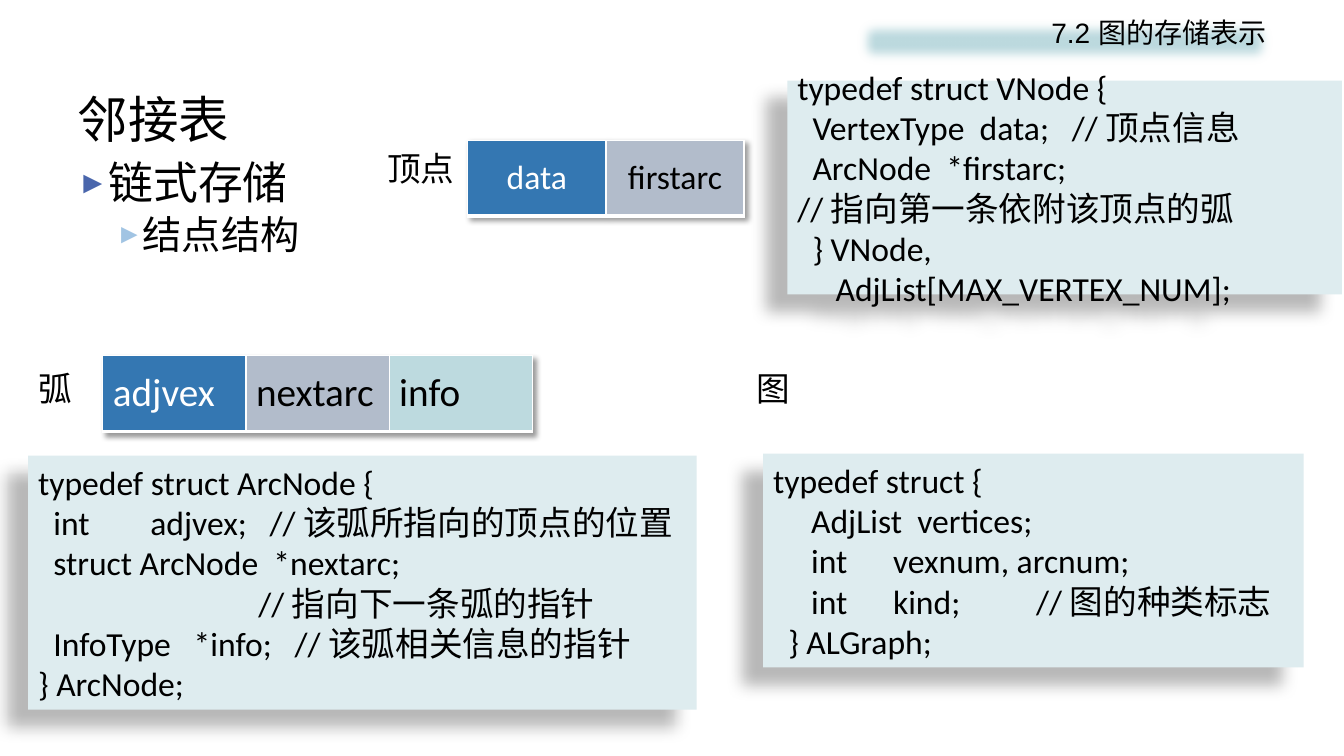
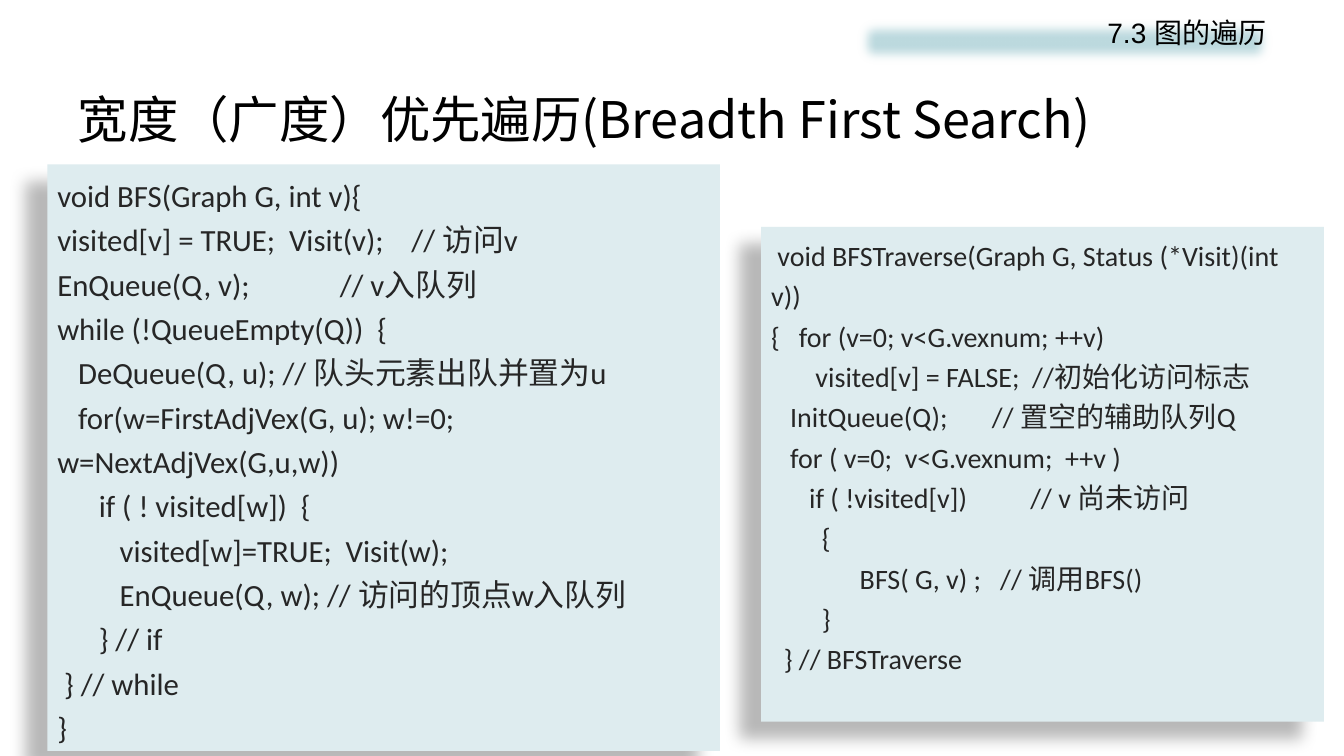
import pptx
import pptx.util
import pptx.dml.color
import pptx.enum.shapes
import pptx.enum.text
import pptx.oxml.ns
from lxml import etree

PX = 9144  # 100 px to the inch
HUE = {"black": "000000", "white": "FFFFFF", "ink": "262626", "band": "BDDADF",
       "code": "DEECEF", "blue": "3477B2", "grey": "B2BCCB",
       "mark": "4A66AC", "sub": "A1C4E3"}
CJK = "Noto Sans CJK SC"
qn = pptx.oxml.ns.qn
Pt = pptx.util.Pt
RGB = pptx.dml.color.RGBColor.from_string
ALIGN = pptx.enum.text.PP_ALIGN
MID = pptx.enum.text.MSO_ANCHOR.MIDDLE
TOP = pptx.enum.text.MSO_ANCHOR.TOP
RECT = pptx.enum.shapes.MSO_SHAPE.RECTANGLE


def write(para, text, size, font, color="black", east=None):
    """Add one styled run; east names the font for Chinese text."""
    run = para.add_run()
    run.text = text
    run.font.size = Pt(size)
    run.font.color.rgb = RGB(HUE[color])
    run.font.name = font
    if east:
        etree.SubElement(run._r.get_or_add_rPr(), qn("a:ea"), typeface=east)


def shade(list_el, blur, dist, angle, alpha):
    """Add an outer shadow; blur and dist in points, alpha in percent."""
    node = etree.SubElement(list_el, qn("a:outerShdw"), blurRad=str(Pt(blur)),
                            dist=str(Pt(dist)), dir=str(angle * 60000),
                            algn="ctr", rotWithShape="0")
    tint = etree.SubElement(node, qn("a:srgbClr"), val=HUE["black"])
    etree.SubElement(tint, qn("a:alpha"), val=str(alpha * 1000))


# Code boxes: left, top, width, height, lines
VNODE = (781, 80, 550, 212, [
    "typedef struct VNode {",
    "  VertexType  data;   // 顶点信息",
    "  ArcNode  *firstarc;",
    "// 指向第一条依附该顶点的弧",
    "  } VNode, AdjList[MAX_VERTEX_NUM];"])
ARC = (28, 452, 663, 252, [
    "typedef struct ArcNode {",
    "  int        adjvex;   // 该弧所指向的顶点的位置",
    "  struct ArcNode  *nextarc;",
    "                             // 指向下一条弧的指针",
    "  InfoType   *info;   // 该弧相关信息的指针",
    "} ArcNode;"])
GRAPH = (757, 450, 536, 212, [
    "typedef struct {",
    "     AdjList  vertices;",
    "     int      vexnum, arcnum;",
    "     int      kind;          // 图的种类标志",
    "  } ALGraph;"])
BFS = (47, 163, 667, 582, [
    "void BFS(Graph G, int v){",
    "visited[v] = TRUE;  Visit(v);    // 访问v",
    "EnQueue(Q, v);             // v入队列",
    "while (!QueueEmpty(Q))  {",
    "   DeQueue(Q, u); // 队头元素出队并置为u",
    "   for(w=FirstAdjVex(G, u); w!=0; w=NextAdjVex(G,u,w))",
    "      if ( ! visited[w])  {",
    "         visited[w]=TRUE;  Visit(w);",
    "         EnQueue(Q, w); // 访问的顶点w入队列",
    "      } // if",
    " } // while",
    "}"])
WALK = (755, 225, 558, 491, [
    " void BFSTraverse(Graph G, Status (*Visit)(int v))",
    "{   for (v=0; v<G.vexnum; ++v)",
    "       visited[v] = FALSE;  //初始化访问标志",
    "   InitQueue(Q);       // 置空的辅助队列Q",
    "   for ( v=0;  v<G.vexnum;  ++v )",
    "      if ( !visited[v])          // v 尚未访问",
    "        {",
    "              BFS( G, v) ;   // 调用BFS()",
    "        }",
    "  } // BFSTraverse"])

# Pages: title, section, hanging indent, anchor, spacing, ink, (size, box) pairs
PAGES = [
    ("邻接表", "7.2 图的存储表示", 38, MID, 1.0, "black",
     [(24, VNODE), (24, ARC), (24, GRAPH)]),
    ("宽度（广度）优先遍历(Breadth First Search)", "7.3 图的遍历", 0, TOP, 1.2, "ink",
     [(22, BFS), (20, WALK)]),
]

deck = pptx.Presentation()
deck.slide_width, deck.slide_height = 1333 * PX, 750 * PX

for name, part, hang, anchor, gap, ink, codes in PAGES:
    slide = deck.slides.add_slide(deck.slide_layouts[5])

    # Title
    title = slide.shapes.title
    title.left, title.top, title.width, title.height = [
        n * PX for n in (67, 80, 1200, 75)]
    frame = title.text_frame
    frame.auto_size = pptx.enum.text.MSO_AUTO_SIZE.NONE
    frame.vertical_anchor = MID
    para = frame.paragraphs[0]
    para.alignment = ALIGN.LEFT
    write(para, name, 36, CJK, east=CJK)

    # Section band with soft edges
    band = slide.shapes.add_shape(RECT, 846 * PX, 14 * PX, 420 * PX, 54 * PX)
    band.fill.solid()
    band.fill.fore_color.rgb = RGB(HUE["band"])
    band.line.fill.background()
    band.shadow.inherit = False
    etree.SubElement(band._element.spPr.find(qn("a:effectLst")),
                     qn("a:softEdge"), rad="112500")
    band.text_frame.vertical_anchor = TOP
    para = band.text_frame.paragraphs[0]
    para.alignment = ALIGN.RIGHT
    para.line_spacing = 0.9
    write(para, part, 20, "Arial", east=CJK)

    # Code boxes
    for size, (left, top, wide, high, lines) in codes:
        box = slide.shapes.add_shape(RECT, left * PX, top * PX, wide * PX, high * PX)
        box.fill.solid()
        box.fill.fore_color.rgb = RGB(HUE["code"])
        box.line.fill.background()
        box.shadow.inherit = False
        shade(box._element.spPr.find(qn("a:effectLst")), 11.8, 19.7, 141, 28)
        frame = box.text_frame
        frame.word_wrap = True
        frame.vertical_anchor = anchor
        for i, line in enumerate(lines):
            para = frame.add_paragraph() if i else frame.paragraphs[0]
            para.alignment = ALIGN.LEFT
            para.line_spacing = gap
            props = para._p.get_or_add_pPr()
            props.set("marL", str(hang * PX))
            props.set("indent", str(-hang * PX))
            write(para, line, size, "Calibri", ink)

# Bullets on the first slide
slide = deck.slides[0]
frame = slide.shapes.add_textbox(67 * PX, 155 * PX, 293 * PX, 134 * PX).text_frame
frame.word_wrap = True
points = [("链式存储", 32, 28, 28, "mark"), ("结点结构", 28, 61, 23, "sub")]
for i, (text, size, left, hang, color) in enumerate(points):
    para = frame.add_paragraph() if i else frame.paragraphs[0]
    para.level = i
    para.line_spacing = 0.9
    if i:
        para.space_before = Pt(4)
    props = para._p.get_or_add_pPr()
    props.set("marL", str(left * PX))
    props.set("indent", str(-hang * PX))
    tint = etree.SubElement(props, qn("a:buClr"))
    etree.SubElement(tint, qn("a:srgbClr"), val=HUE[color])
    etree.SubElement(props, qn("a:buSzPct"), val="70000")
    etree.SubElement(props, qn("a:buFont"), typeface="Arial")
    etree.SubElement(props, qn("a:buChar"), char="►")
    write(para, text, size, CJK, east=CJK)

# Labels
for text, left, top, wide in [("顶点", 374, 146, 88), ("弧", 28, 365, 54),
                              ("图", 741, 365, 54)]:
    label = slide.shapes.add_textbox(left * PX, top * PX, wide * PX, 50 * PX)
    label.text_frame.word_wrap = False
    para = label.text_frame.paragraphs[0]
    para.line_spacing = 0.9
    write(para, text, 24, CJK, east=CJK)

# Node tables
FILLS = ["blue", "grey", "band"]
for words, left, top, wide, size, align in [
        (["data", "firstarc"], 464, 139, 137, 24, ALIGN.CENTER),
        (["adjvex", "nextarc", "info"], 102, 353, 142, 28, ALIGN.LEFT)]:
    count = len(words)
    table = slide.shapes.add_table(1, count, left * PX, top * PX,
                                   wide * count * PX, 75 * PX).table
    glow = etree.Element(qn("a:effectLst"))
    shade(glow, 4, 3, 45, 40)
    table._tbl.tblPr.insert(0, glow)
    for i, word in enumerate(words):
        table.columns[i].width = wide * PX
        cell = table.cell(0, i)
        cell.vertical_anchor = MID
        para = cell.text_frame.paragraphs[0]
        para.alignment = align
        write(para, word, size, "Calibri", "black" if i else "white")
        props = cell._tc.get_or_add_tcPr()
        for side in "LRTB":
            edge = etree.SubElement(props, qn("a:ln" + side),
                                    w=str(Pt(3 if side == "B" else 1)))
            fill = etree.SubElement(edge, qn("a:solidFill"))
            etree.SubElement(fill, qn("a:srgbClr"), val=HUE["white"])
        cell.fill.solid()
        cell.fill.fore_color.rgb = RGB(HUE[FILLS[i]])

deck.save("out.pptx")
